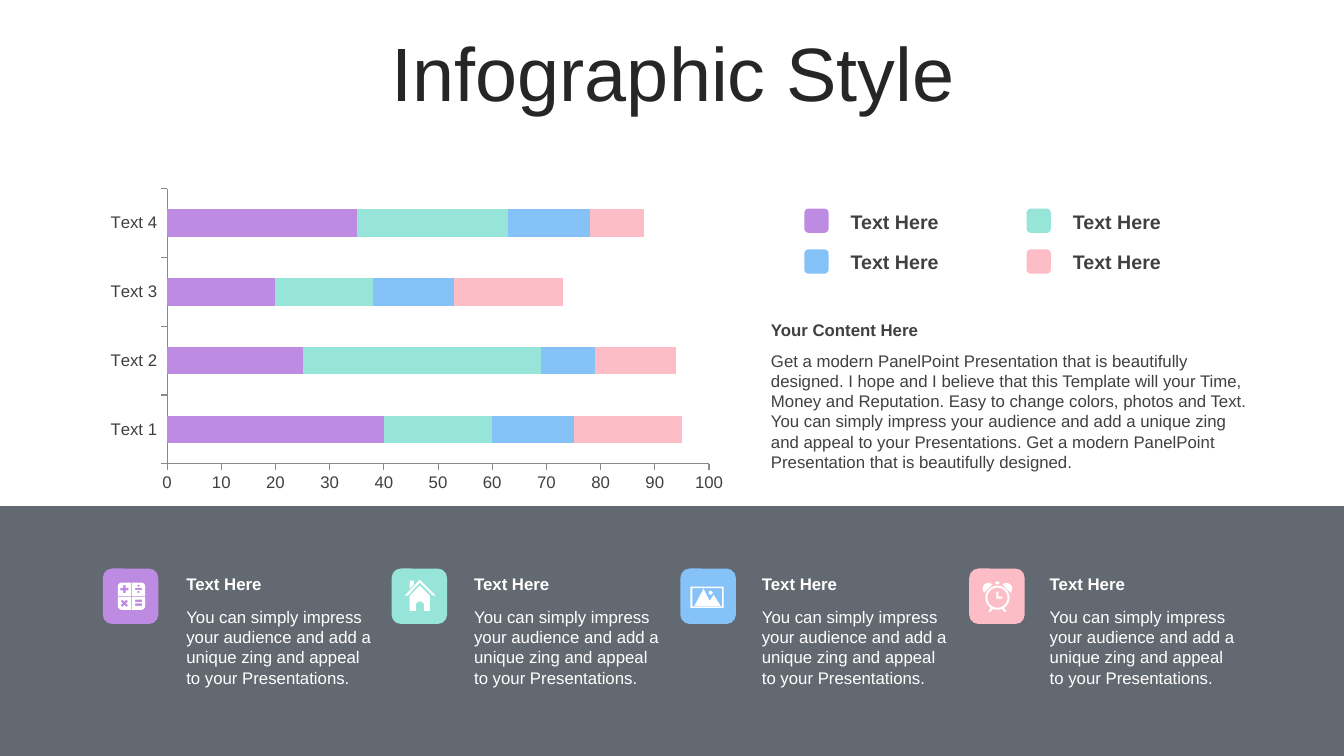
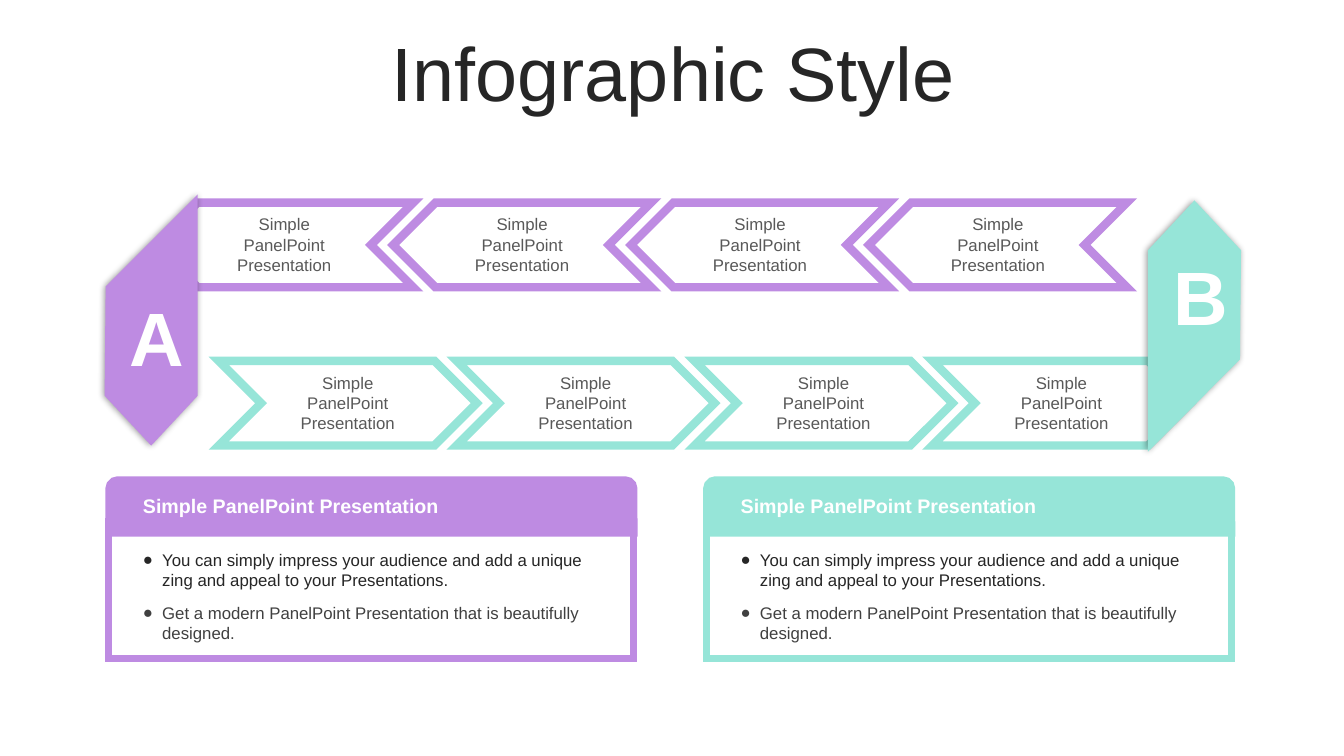
from math import cos, radians, sin

from lxml.etree import SubElement
from pptx import Presentation
from pptx.chart.data import CategoryChartData
from pptx.dml.color import RGBColor
from pptx.enum.chart import XL_CHART_TYPE, XL_TICK_MARK
from pptx.enum.shapes import MSO_SHAPE
from pptx.enum.text import MSO_ANCHOR, MSO_AUTO_SIZE, PP_ALIGN
from pptx.oxml.ns import qn
from pptx.util import Inches, Pt

# The grid has square cells, ten to the inch.
CELL = Inches(0.1)
COLUMNS, ROWS = 133.33, 75
FONT = "Arial"
COLORS = {
    "purple": "BE8BE2",
    "mint": "96E5D8",
    "blue": "85C2F8",
    "pink": "FDBDC7",
    "white": "FFFFFF",
    "black": "000000",
    "band": "222A35",
    "heading": "262626",
    "text": "404040",
    "label": "595959",
    "axis": "898989",
}
ACCENTS = ["purple", "mint", "blue", "pink"]


def cells(*values):
    return [round(value * CELL) for value in values]


def color(name):
    return RGBColor.from_string(COLORS[name])


def arc(x, y, radius, start=0, end=360):
    """Points along an arc, clockwise from the right, angles in degrees."""
    angles = [radians(start + (end - start) * step / 24) for step in range(25)]
    return [(x + radius * cos(a), y + radius * sin(a)) for a in angles]


def box(left, top, width, height):
    right, bottom = left + width, top + height
    return [(left, top), (right, top), (right, bottom), (left, bottom)]


def rounded_box(left, top, side, radius):
    near, far = radius, side - radius
    corners = [(far, far, 0), (near, far, 90), (near, near, 180), (far, near, 270)]
    return [point for x, y, start in corners
            for point in arc(left + x, top + y, radius, start, start + 90)]


def cross(x, y, arm, half, angle=0):
    """A plus sign with the given arm length and half thickness."""
    points = []
    for turn in range(4):
        a = radians(angle + 90 * turn)
        for u, v in [(arm, -half), (arm, half), (half, half)]:
            points.append((x + u * cos(a) - v * sin(a), y + u * sin(a) + v * cos(a)))
    return points


def mirror(points, axis=28):
    return [(2 * axis - x, y) for x, y in points]


CLOCK_FOOT = [(23.5, 40.2), (21, 43), (19, 43), (21.3, 39.2)]
CLOCK_BELL = arc(19, 20, 5.66, 135, 315)
# Outlines in tenths of a cell from the corner of the tile; inner ones are holes.
ICONS = {
    "calculator": [
        rounded_box(15, 14, 27, 4), cross(28.5, 27.5, 13.5, 0.4),
        cross(21.5, 20.5, 4, 1.2), cross(21.5, 34.5, 4, 1.2, 45),
        box(32, 19.3, 7, 2), arc(35.5, 17.2, 1.1), arc(35.5, 23.4, 1.1),
        box(32, 31, 7, 2.4), box(32, 34.6, 7, 2.4),
    ],
    "house": [
        [(28, 17), (38, 27), (38, 42), (32, 42), (32, 35), (30, 33), (26, 33),
         (24, 35), (24, 42), (18, 42), (18, 27)],
        [(28, 11), (44, 27), (41, 27), (28, 14), (16, 27), (13, 27)],
        [(18, 12), (22, 12), (22, 16), (18, 20)],
    ],
    "landscape": [
        box(10, 18, 33, 21), box(12, 19.5, 29.5, 18),
        [(14, 37), (23, 20), (29, 32), (33, 26), (40, 37)], arc(30, 24, 2),
    ],
    "clock": [
        arc(28, 29, 12), arc(28, 29, 10),
        [(27, 23), (29, 23), (29, 28), (33, 28), (33, 30), (27, 30)],
        CLOCK_BELL, mirror(CLOCK_BELL), CLOCK_FOOT, mirror(CLOCK_FOOT),
        box(26, 13, 4, 2.6),
    ],
}


class Deck:
    """Holds the presentation, its style and the current slide."""

    def __init__(self):
        self.presentation = Presentation()
        self.presentation.slide_width, self.presentation.slide_height = cells(COLUMNS, ROWS)
        self.slide = None

    def add_slide(self, title):
        self.slide = self.presentation.slides.add_slide(self.presentation.slide_layouts[5])
        shape = self.slide.shapes.title
        shape.left, shape.top, shape.width, shape.height = cells(3.5, 3.7, 126.6, 7.9)
        frame = shape.text_frame
        frame.text = title
        frame.word_wrap = True
        frame.auto_size = MSO_AUTO_SIZE.NONE
        frame.vertical_anchor = MSO_ANCHOR.MIDDLE
        paragraph = frame.paragraphs[0]
        paragraph.line_spacing = 0.9
        self.format(paragraph, 54, "heading", align=PP_ALIGN.CENTER)

    def format(self, paragraph, size, ink, bold=False, align=PP_ALIGN.LEFT):
        paragraph.alignment = align
        font = paragraph.font
        font.name, font.size, font.bold = FONT, Pt(size), bold
        font.color.rgb = color(ink)

    def paint(self, shape, fill, line=None, width=0):
        shape.shadow.inherit = False
        shape.fill.solid()
        shape.fill.fore_color.rgb = color(fill)
        if line:
            shape.line.color.rgb = color(line)
            shape.line.width = Pt(width)
            SubElement(shape.line._get_or_add_ln(), qn("a:miter"), lim="800000")
        else:
            shape.line.fill.background()
        return shape

    def shape(self, kind, left, top, width, height, fill, line=None, line_width=0):
        shape = self.slide.shapes.add_shape(kind, *cells(left, top, width, height))
        return self.paint(shape, fill, line, line_width)

    def outline(self, contours, left, top, unit, fill, line=None, width=0):
        """Draw closed contours whose coordinates are in units of so many cells."""
        contours = [[(x * unit * 100, y * unit * 100) for x, y in contour]
                    for contour in contours]
        builder = self.slide.shapes.build_freeform(*contours[0][0], scale=CELL / 100)
        for index, contour in enumerate(contours):
            if index:
                builder.move_to(*contour[0])
            builder.add_line_segments(contour[1:], close=True)
        return self.paint(builder.convert_to_shape(*cells(left, top)), fill, line, width)

    def text(self, text, left, top, width, height, size=12, ink="text",
             bold=False, align=PP_ALIGN.LEFT):
        frame = self.slide.shapes.add_textbox(*cells(left, top, width, height)).text_frame
        frame.word_wrap = True
        frame.text = text
        self.format(frame.paragraphs[0], size, ink, bold, align)

    def bullets(self, items, left, top, width, height):
        frame = self.slide.shapes.add_textbox(*cells(left, top, width, height)).text_frame
        frame.word_wrap = True
        for index, (text, ink) in enumerate(items):
            paragraph = frame.add_paragraph() if index else frame.paragraphs[0]
            paragraph.text = text
            if index:
                paragraph.space_before = Pt(9)
            properties = paragraph._p.get_or_add_pPr()
            indent = cells(1.9)[0]
            properties.set("marL", str(indent))
            properties.set("indent", str(-indent))
            SubElement(properties, qn("a:buFont"), typeface=FONT)
            SubElement(properties, qn("a:buChar"), char="●")
            self.format(paragraph, 12, ink)

    def stacked_bars(self, categories, series, left, top, width, height):
        data = CategoryChartData()
        data.categories = categories
        for name, values in series:
            data.add_series(name, values)
        chart = self.slide.shapes.add_chart(
            XL_CHART_TYPE.BAR_STACKED, *cells(left, top, width, height), data).chart
        chart.has_legend = chart.has_title = False
        chart.font.name, chart.font.size = FONT, Pt(12)
        chart.font.color.rgb = color("text")
        plot = chart.plots[0]
        plot.gap_width, plot.overlap, plot.vary_by_categories = 150, 100, False
        for bars, accent in zip(plot.series, ACCENTS):
            bars.format.fill.solid()
            bars.format.fill.fore_color.rgb = color(accent)
        for axis in (chart.category_axis, chart.value_axis):
            axis.has_major_gridlines = False
            axis.major_tick_mark = XL_TICK_MARK.OUTSIDE
            axis.format.line.color.rgb = color("axis")
            axis.format.line.width = Pt(0.75)
        value_axis = chart.value_axis
        value_axis.minimum_scale, value_axis.maximum_scale, value_axis.major_unit = 0, 100, 10

    def see_through(self, shape, percent):
        tint = shape.element.spPr.find(".//" + qn("a:srgbClr"))
        SubElement(tint, qn("a:alpha"), val=str(percent * 1000))

    def soft_shadow(self, shape):
        effects = shape.element.spPr.find(qn("a:effectLst"))
        shadow = SubElement(effects, qn("a:outerShdw"), blurRad=str(Pt(5)),
                            dist=str(Pt(1)), dir="10800000", rotWithShape="0")
        tint = SubElement(shadow, qn("a:srgbClr"), val=COLORS["black"])
        SubElement(tint, qn("a:alpha"), val="40000")

    def chevron_row(self, text, left, top, accent, rotation):
        for index in range(4):
            x = left + 23.6 * index
            chevron = self.shape(MSO_SHAPE.CHEVRON, x, top, 25.6, 8.4, "white", accent, 6)
            chevron.rotation = rotation
            self.text(text, x + 6.75, top + 0.65, 12.1, 7.1, ink="label",
                      align=PP_ALIGN.CENTER)

    def ribbon(self, points, letter, left, top, accent):
        self.soft_shadow(self.outline([points], 0, 0, 1, accent, accent, 6))
        self.text(letter, left, top, 6.3, 10.1, 54, "white", True, PP_ALIGN.CENTER)

    def card(self, heading, items, left, accent):
        self.shape(MSO_SHAPE.RECTANGLE, left, 51.7, 52.1, 13.6, "white", accent, 5)
        self.shape(MSO_SHAPE.ROUND_2_SAME_RECTANGLE, left, 47.6, 52.1, 5.3,
                   accent, accent, 5)
        self.text(heading, left + 2.4, 48.5, 47.5, 3.4, 14, "white", True)
        self.bullets(items, left + 2.4, 54, 47.5, 10.2)


def chart_slide(deck):
    deck.add_slide("Infographic Style")
    band = deck.shape(MSO_SHAPE.RECTANGLE, 0, 50.2, COLUMNS, ROWS - 50.2, "band")
    deck.see_through(band, 70)
    deck.stacked_bars(
        ["Text 1", "Text 2", "Text 3", "Text 4"],
        [("Series 1", (40, 25, 20, 35)), ("Series 2", (20, 44, 18, 28)),
         ("Series 3", (15, 10, 15, 15)), ("Series 4", (20, 15, 20, 10))],
        9.7, 18.1, 63.3, 31.3)

    for index, accent in enumerate(ACCENTS):
        row, column = divmod(index, 2)
        x, y = 79.8 + 22.05 * column, 20.7 + 4.05 * row
        deck.shape(MSO_SHAPE.ROUNDED_RECTANGLE, x, y, 2.4, 2.4, accent)
        deck.text("Text Here", x + 3.6, y - 0.4, 14.9, 3.4, 14, bold=True)

    deck.text("Your Content Here", 75.5, 31.2, 49.2, 3, bold=True)
    deck.text("Get a modern PanelPoint Presentation that is beautifully designed. "
              "I hope and I believe that this Template will your Time, Money and "
              "Reputation. Easy to change colors, photos and Text. You can simply "
              "impress your audience and add a unique zing and appeal to your "
              "Presentations. Get a modern PanelPoint Presentation that is "
              "beautifully designed.", 75.5, 34.3, 49.2, 13.1)

    for index, (accent, contours) in enumerate(zip(ACCENTS, ICONS.values())):
        x, text_x = 10.2 + 28.65 * index, 17.5 + 28.55 * index
        deck.shape(MSO_SHAPE.ROUNDED_RECTANGLE, x, 56.4, 5.5, 5.5, accent)
        deck.outline(contours, x, 56.4, 0.1, "white")
        deck.text("Text Here", text_x, 56.4, 20.5, 3, ink="white", bold=True)
        deck.text("You can simply impress your audience and add a unique zing and "
                  "appeal to your Presentations.", text_x, 59.7, 20.5, 9.1, ink="white")


def process_slide(deck):
    deck.add_slide("Infographic Style")
    phrase = "Simple PanelPoint Presentation"
    deck.chevron_row(phrase, 15.4, 20.1, "purple", 180)
    deck.chevron_row(phrase, 21.7, 35.8, "mint", 0)

    left_ribbon = [(19.2, 20.3), (19.2, 39.1), (15, 43.6), (10.8, 39.1), (10.9, 28.6)]
    right_ribbon = [(133.5 - x, 64.1 - y) for x, y in left_ribbon]
    deck.ribbon(left_ribbon, "A", 11.9, 28.4, "purple")
    deck.ribbon(right_ribbon, "B", 115.4, 24.3, "mint")

    items = [
        ("You can simply impress your audience and add a unique zing and appeal "
         "to your Presentations.", "heading"),
        ("Get a modern PanelPoint Presentation that is beautifully designed.", "text"),
    ]
    for left, accent in [(10.8, "purple"), (70.1, "mint")]:
        deck.card(phrase, items, left, accent)


def main():
    deck = Deck()
    chart_slide(deck)
    process_slide(deck)
    deck.presentation.save("out.pptx")


if __name__ == "__main__":
    main()
